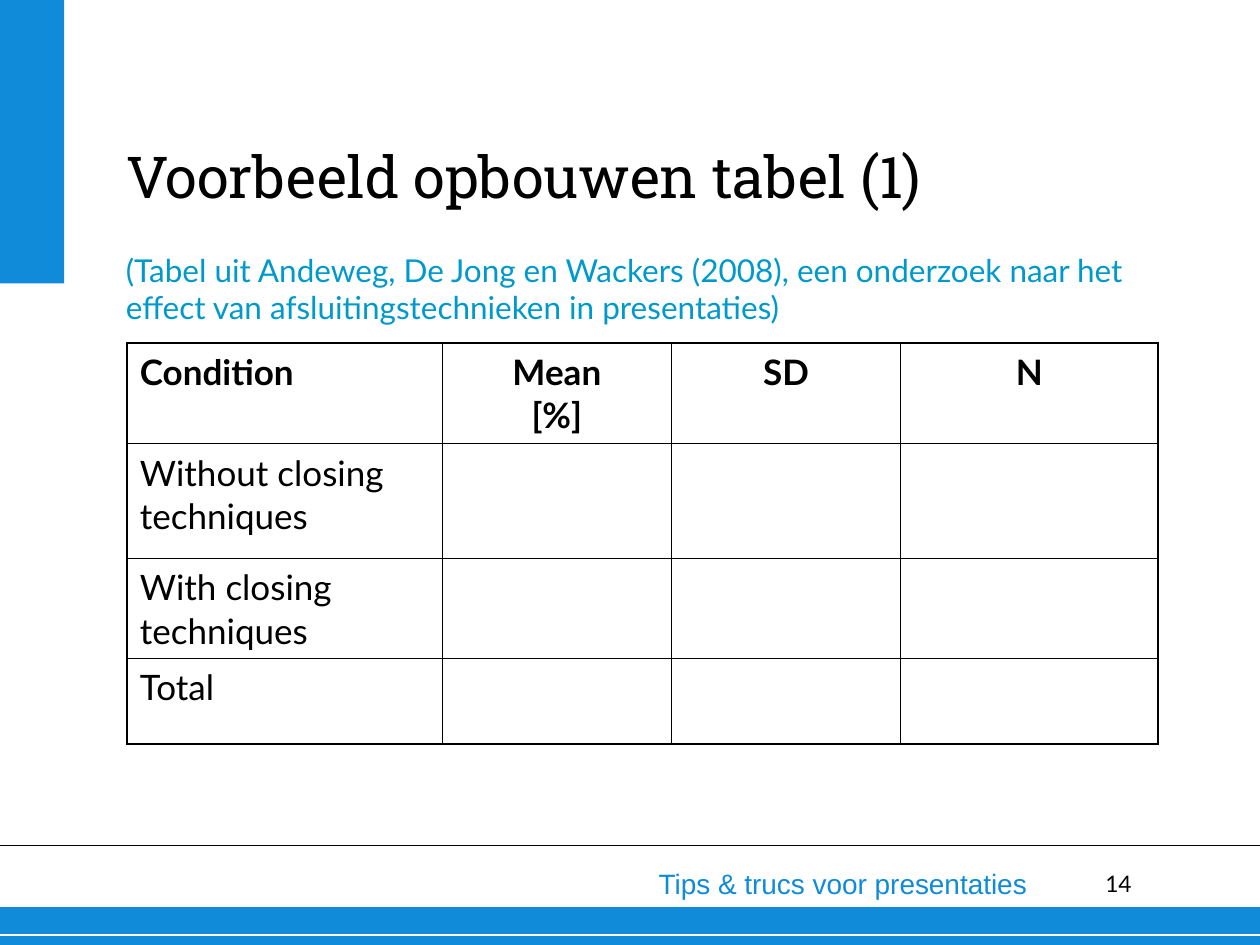
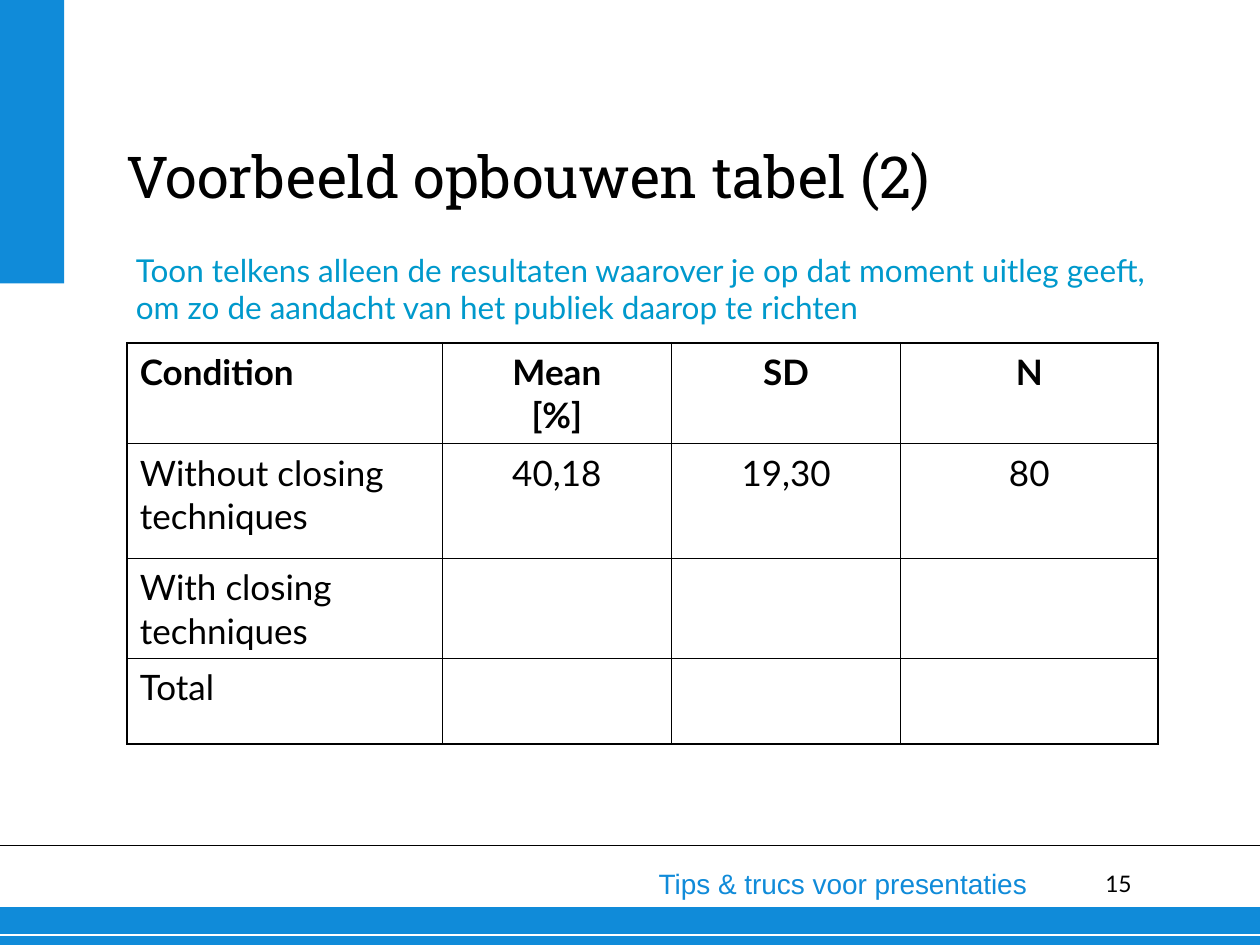
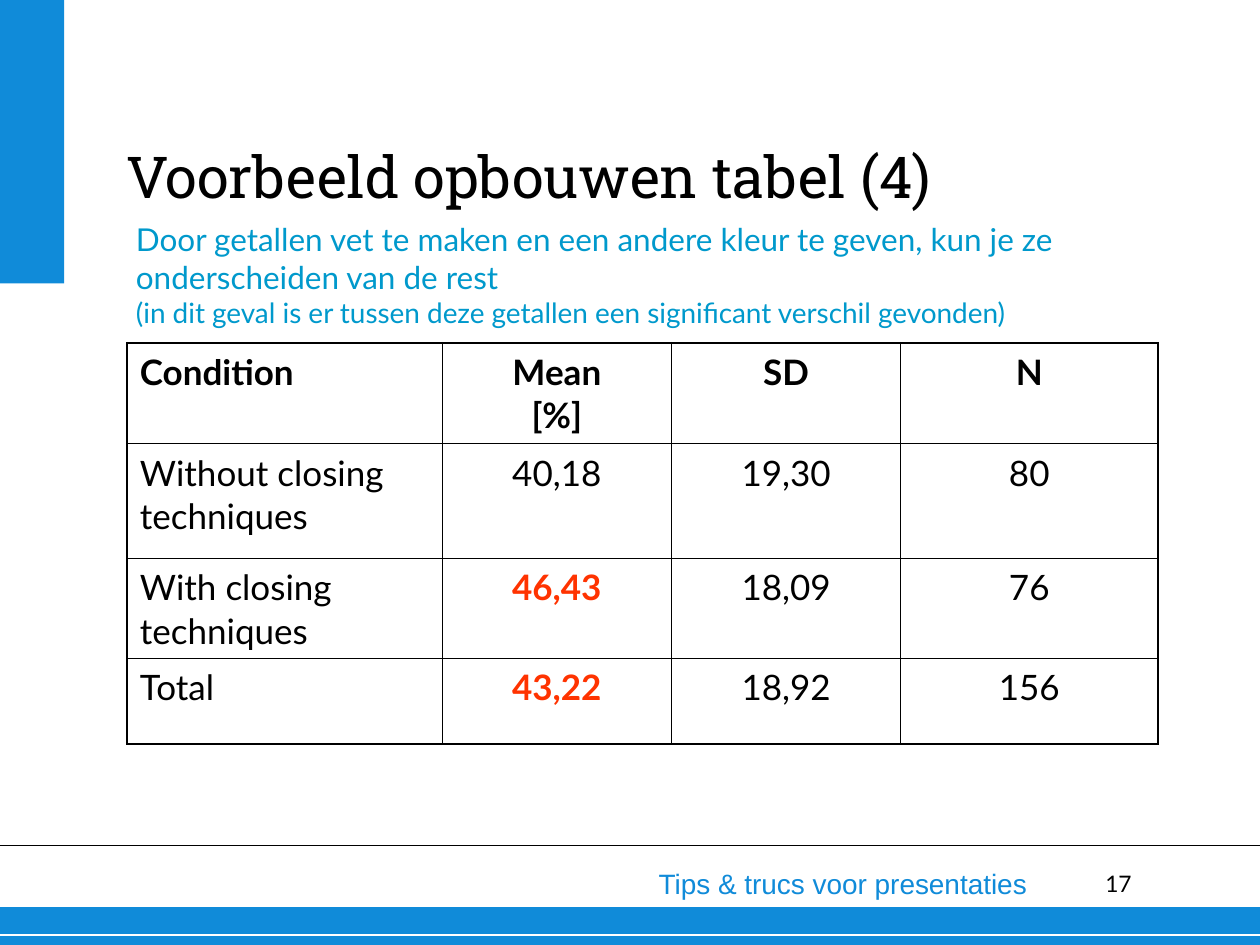
import pptx
import pptx.util
import pptx.dml.color
import pptx.enum.shapes
import pptx.enum.text
import pptx.oxml
import pptx.oxml.ns

Inches, Pt = pptx.util.Inches, pptx.util.Pt
ALIGN = pptx.enum.text.PP_ALIGN
ANCHOR = pptx.enum.text.MSO_ANCHOR

COLORS = {"blue": "108BD9", "note": "0099CC", "black": "000000",
          "white": "FFFFFF", "accent": "FF3300"}
STYLES = {
    "title": {"name": "Roboto Slab", "size": 33, "color": "black"},
    "note": {"name": "Lato", "size": 18, "color": "note"},
    "small note": {"name": "Lato", "size": 16, "color": "note"},
    "footer": {"name": "Arial", "size": 16, "color": "blue"},
    "number": {"name": "Lato", "size": 13, "color": "black"},
    "cell": {"name": "Lato", "size": 20, "color": "black", "bold": False},
    "head": {"name": "Lato", "size": 20, "color": "black", "bold": True},
    "accent": {"name": "Lato", "size": 20, "color": "accent", "bold": True},
}
PADDING = (0.1, 0.05)
FOOTER = "Tips & trucs voor presentaties"

TABLE_AT = (1.01, 2.72)
COL_WIDTHS = (2.5, 1.82, 1.82, 2.04)
ROW_HEIGHTS = (0.8, 0.91, 0.79, 0.68)
HEADER = ("Condition", "Mean\n[%]", "SD", "N")
CONDITIONS = ("Without closing techniques", "With closing\ntechniques", "Total")
RESULTS = (("40,18", "19,30", "80"),
           ("46,43", "18,09", "76"),
           ("43,22", "18,92", "156"))

SLIDES = [
    {"number": "14", "title": "Voorbeeld opbouwen tabel (1)",
     "note_at": (0.9, 1.94, 8.51, 0.75),
     "note": [("(Tabel uit Andeweg, De Jong en Wackers (2008), een onderzoek naar het "
               "effect van afsluitingstechnieken in presentaties)", "note")],
     "shown": 0, "accents": ()},
    {"number": "15", "title": "Voorbeeld opbouwen tabel (2)",
     "note_at": (0.98, 1.94, 8.35, 0.75),
     "note": [("Toon telkens alleen de resultaten waarover je op dat moment uitleg "
               "geeft, om zo de aandacht van het publiek daarop te richten", "note")],
     "shown": 1, "accents": ()},
    {"number": "17", "title": "Voorbeeld opbouwen tabel (4)",
     "note_at": (0.98, 1.7, 8.19, 0.97),
     "note": [("Door getallen vet te maken en een andere kleur te geven, kun je ze "
               "onderscheiden van de rest", "note"),
              ("(in dit geval is er tussen deze getallen een significant verschil "
               "gevonden)", "small note")],
     "shown": 3, "accents": ((2, 1), (3, 1))},
]


def rgb(name):
    return pptx.dml.color.RGBColor.from_string(COLORS[name])


def set_font(font, style):
    for key, value in STYLES[style].items():
        if key == "color":
            font.color.rgb = rgb(value)
        else:
            setattr(font, key, Pt(value) if key == "size" else value)


def add_text(s, at, lines, align=ALIGN.LEFT, anchor=ANCHOR.TOP, padding=(0, 0)):
    """Add a box with one paragraph; lines are (text, style) pairs."""
    tf = s.shapes.add_textbox(*map(Inches, at)).text_frame
    tf.word_wrap = True
    tf.vertical_anchor = anchor
    tf.margin_left = tf.margin_right = Inches(padding[0])
    tf.margin_top = tf.margin_bottom = Inches(padding[1])
    p = tf.paragraphs[0]
    p.alignment = align
    for i, (text, style) in enumerate(lines):
        if i:
            p.add_line_break()
        r = p.add_run()
        r.text = text
        set_font(r.font, style)


def add_band(s, at):
    sp = s.shapes.add_shape(pptx.enum.shapes.MSO_SHAPE.RECTANGLE, *map(Inches, at))
    sp.shadow.inherit = False
    sp.fill.solid()
    sp.fill.fore_color.rgb = rgb("blue")
    sp.line.fill.background()


def add_rule(s, y, color, width):
    line = s.shapes.add_connector(pptx.enum.shapes.MSO_CONNECTOR.STRAIGHT,
                                  0, Inches(y), Inches(10), Inches(y))
    line.line.color.rgb = rgb(color)
    line.line.width = Pt(width)
    line._element.spPr.append(
        pptx.oxml.parse_xml(f"<a:effectLst {pptx.oxml.ns.nsdecls('a')}/>"))


def add_frame(s, number):
    """Add the bands, rules and footer that every slide shares."""
    add_text(s, (8.39, 6.9, 0.59, 0.28), [(number, "number")], ALIGN.RIGHT)
    add_band(s, (0, 7.2, 10, 0.3))
    add_rule(s, 7.42, "white", 0.75)
    add_rule(s, 6.71, "black", 1)
    add_text(s, (3.42, 6.83, 4.83, 0.37), [(FOOTER, "footer")], ALIGN.RIGHT,
             padding=PADDING)
    add_band(s, (0, 0, 0.51, 2.25))


def set_borders(cell, outer):
    """Draw the four sides of a cell, heavier on the sides listed in outer."""
    tcPr = cell._tc.get_or_add_tcPr()
    for i, side in enumerate("LRTB"):
        width = Pt(1.08 if side in outer else 0.45)
        tcPr.insert(i, pptx.oxml.parse_xml(
            f'<a:ln{side} {pptx.oxml.ns.nsdecls("a")} w="{width}"><a:solidFill>'
            f'<a:srgbClr val="{COLORS["black"]}"/></a:solidFill></a:ln{side}>'))


def add_results_table(s, shown, accents):
    n_rows, n_cols = len(ROW_HEIGHTS), len(COL_WIDTHS)
    size = (sum(COL_WIDTHS), sum(ROW_HEIGHTS))
    table = s.shapes.add_table(n_rows, n_cols, *map(Inches, TABLE_AT + size)).table
    table.first_row = table.horz_banding = False
    for col, width in zip(table.columns, COL_WIDTHS):
        col.width = Inches(width)
    for row, height in zip(table.rows, ROW_HEIGHTS):
        row.height = Inches(height)

    blank = ("",) * (n_cols - 1)
    rows = [HEADER] + [(name,) + (RESULTS[i] if i < shown else blank)
                       for i, name in enumerate(CONDITIONS)]
    for i, texts in enumerate(rows):
        for j, text in enumerate(texts):
            cell = table.cell(i, j)
            cell.fill.background()
            edges = {"L": j == 0, "R": j == n_cols - 1,
                     "T": i == 0, "B": i == n_rows - 1}
            set_borders(cell, [side for side in edges if edges[side]])
            cell.text = text
            style = "head" if i == 0 else "accent" if (i, j) in accents else "cell"
            for p in cell.text_frame.paragraphs:
                p.alignment = ALIGN.CENTER if j else ALIGN.LEFT
                p.line_spacing = Pt(25)
                for r in p.runs:
                    set_font(r.font, style)


def main():
    prs = pptx.Presentation()
    prs.slide_width, prs.slide_height = Inches(10), Inches(7.5)
    for item in SLIDES:
        s = prs.slides.add_slide(prs.slide_layouts[6])
        add_frame(s, item["number"])
        add_results_table(s, item["shown"], item["accents"])
        add_text(s, (1, 0.5, 8.38, 1.17), [(item["title"], "title")],
                 anchor=ANCHOR.BOTTOM)
        add_text(s, item["note_at"], item["note"], padding=PADDING)
    prs.save("out.pptx")


if __name__ == "__main__":
    main()
